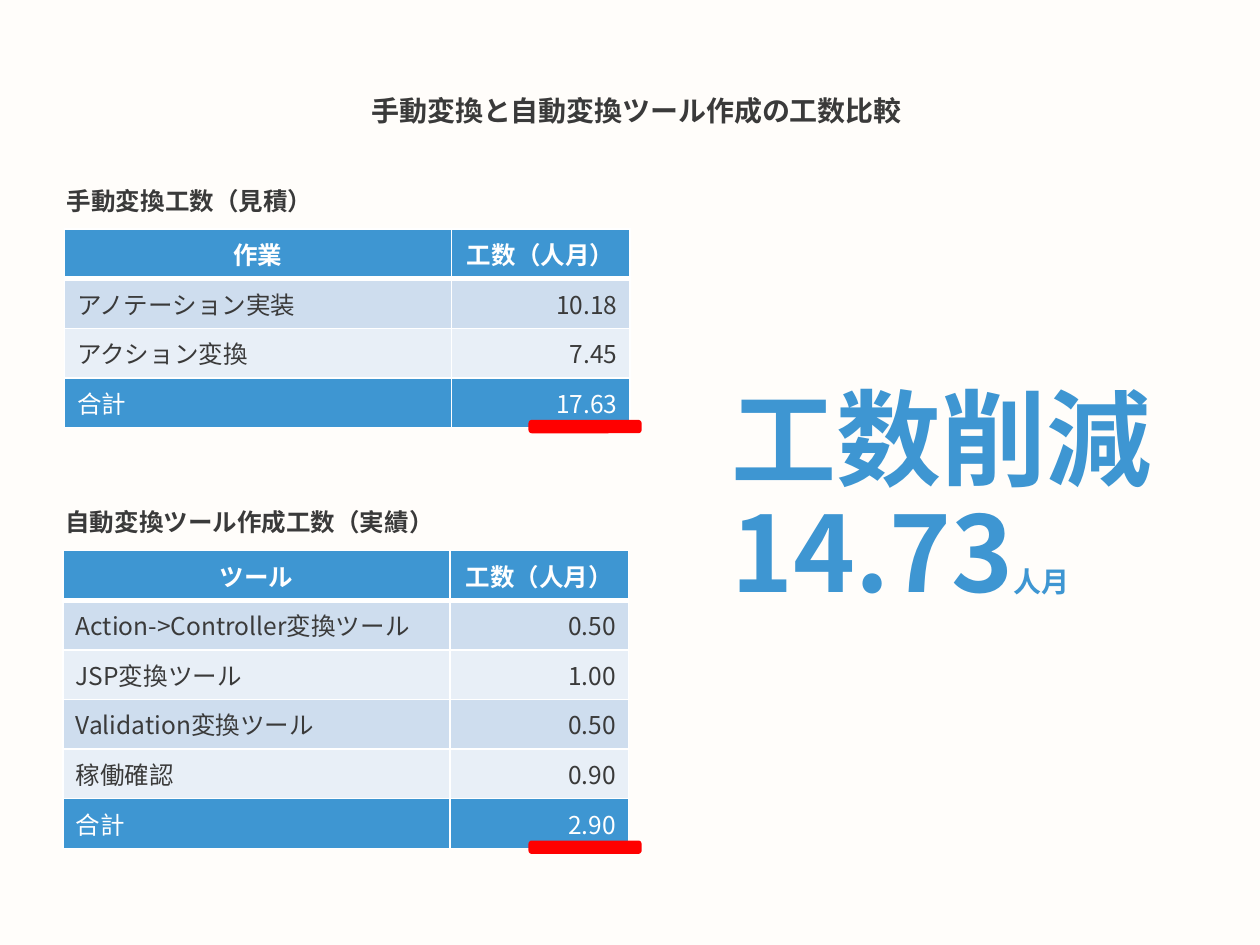
from pptx import Presentation
from pptx.dml.color import RGBColor
from pptx.enum.shapes import MSO_SHAPE as Shape
from pptx.enum.text import MSO_ANCHOR as Anchor, PP_ALIGN as Align
from pptx.oxml import parse_xml
from pptx.oxml.ns import nsdecls
from pptx.util import Cm, Pt

FONT = "Noto Sans CJK JP"
BLUE, INK, WHITE, RED = "3E96D2", "3A3A3A", "FFFFFF", "FF0000"
BANDS = ("CEDDEE", "E8EFF7")
ROW_HEIGHT = 1.0
COLUMN_WIDTHS = (7.8, 3.6)


def color(value):
    """Turn a hex string into a colour."""
    return RGBColor.from_string(value)


def style(paragraph, size, ink, bold=True, align=Align.LEFT):
    """Set the font and alignment of one paragraph."""
    font = paragraph.font
    font.name, font.size, font.bold = FONT, Pt(size), bold
    font.color.rgb = color(ink)
    paragraph.alignment = align


def add_text(slide, box, lines, size, ink, anchor=Anchor.MIDDLE, spacing=0.9):
    """Add a wrapped text box and return its text frame."""
    frame = slide.shapes.add_textbox(*map(Cm, box)).text_frame
    frame.word_wrap = True
    frame.vertical_anchor = anchor
    frame.text = "\n".join(lines)
    for paragraph in frame.paragraphs:
        style(paragraph, size, ink)
        paragraph.line_spacing = spacing
    return frame


def set_borders(cell, bottom):
    """Draw white cell borders with the given bottom width in points."""
    properties = cell._tc.get_or_add_tcPr()
    widths = {"lnL": 1, "lnR": 1, "lnT": 1, "lnB": bottom}
    for index, (side, width) in enumerate(widths.items()):
        properties.insert(index, parse_xml(
            f'<a:{side} {nsdecls("a")} w="{Pt(width)}"><a:solidFill>'
            f'<a:srgbClr val="{WHITE}"/></a:solidFill></a:{side}>'))


def add_effort_table(slide, left, top, rows):
    """Add a table with a header, banded rows and a total row."""
    table = slide.shapes.add_table(
        len(rows), 2, Cm(left), Cm(top),
        Cm(sum(COLUMN_WIDTHS)), Cm(ROW_HEIGHT * len(rows))).table
    for column, width in zip(table.columns, COLUMN_WIDTHS):
        column.width = Cm(width)
    for row_index, values in enumerate(rows):
        table.rows[row_index].height = Cm(ROW_HEIGHT)
        header = row_index == 0
        strong = header or row_index == len(rows) - 1
        for column_index, value in enumerate(values):
            cell = table.cell(row_index, column_index)
            cell.text = value
            cell.vertical_anchor = Anchor.MIDDLE
            cell.fill.solid()
            cell.fill.fore_color.rgb = color(BLUE if strong else BANDS[(row_index - 1) % 2])
            align = Align.CENTER if header else (Align.LEFT, Align.RIGHT)[column_index]
            style(cell.text_frame.paragraphs[0], 14, WHITE if strong else INK, header, align)
            set_borders(cell, 3 if header else 1)


def add_effort_section(slide, left, top, heading, rows):
    """Add a heading, its table and the red mark under the total."""
    add_text(slide, (left - 0.2, top, 11.2, 1.09), [heading], 14, INK)
    add_effort_table(slide, left, top + 1.09, rows)
    mark = slide.shapes.add_shape(
        Shape.ROUNDED_RECTANGLE, Cm(10.69),
        Cm(top + 0.97 + ROW_HEIGHT * len(rows)), Cm(2.21), Cm(0.2))
    mark.shadow.inherit = False
    mark.fill.solid()
    mark.fill.fore_color.rgb = color(RED)
    mark.line.color.rgb = color(RED)
    mark.line.width = Pt(2)


def add_result(slide, box):
    """Add the large figure of the saved effort."""
    frame = add_text(slide, box, ["工数削減", "14.73"], 60, BLUE, Anchor.TOP)
    unit = frame.paragraphs[1].add_run()
    unit.text = "人月"
    unit.font.size = Pt(16)


def build():
    """Build the slide and save it."""
    presentation = Presentation()
    presentation.slide_width, presentation.slide_height = Cm(25.4), Cm(19.05)
    slide = presentation.slides.add_slide(presentation.slide_layouts[6])
    slide.background.fill.solid()
    slide.background.fill.fore_color.rgb = color("FFFDFA")
    add_text(slide, (7.24, 1.73, 11.2, 1.09),
             ["手動変換と自動変換ツール作成の工数比較"], 16, INK)
    add_effort_section(slide, 1.3, 3.53, "手動変換工数（見積）", [
        ("作業", "工数（人月）"),
        ("アノテーション実装", "10.18"),
        ("アクション変換", "7.45"),
        ("合計", "17.63")])
    add_effort_section(slide, 1.27, 10.01, "自動変換ツール作成工数（実績）", [
        ("ツール", "工数（人月）"),
        ("Action->Controller変換ツール", "0.50"),
        ("JSP変換ツール", "1.00"),
        ("Validation変換ツール", "0.50"),
        ("稼働確認", "0.90"),
        ("合計", "2.90")])
    add_result(slide, (14.5, 7.7, 9.8, 5.38))
    presentation.save("out.pptx")


build()
